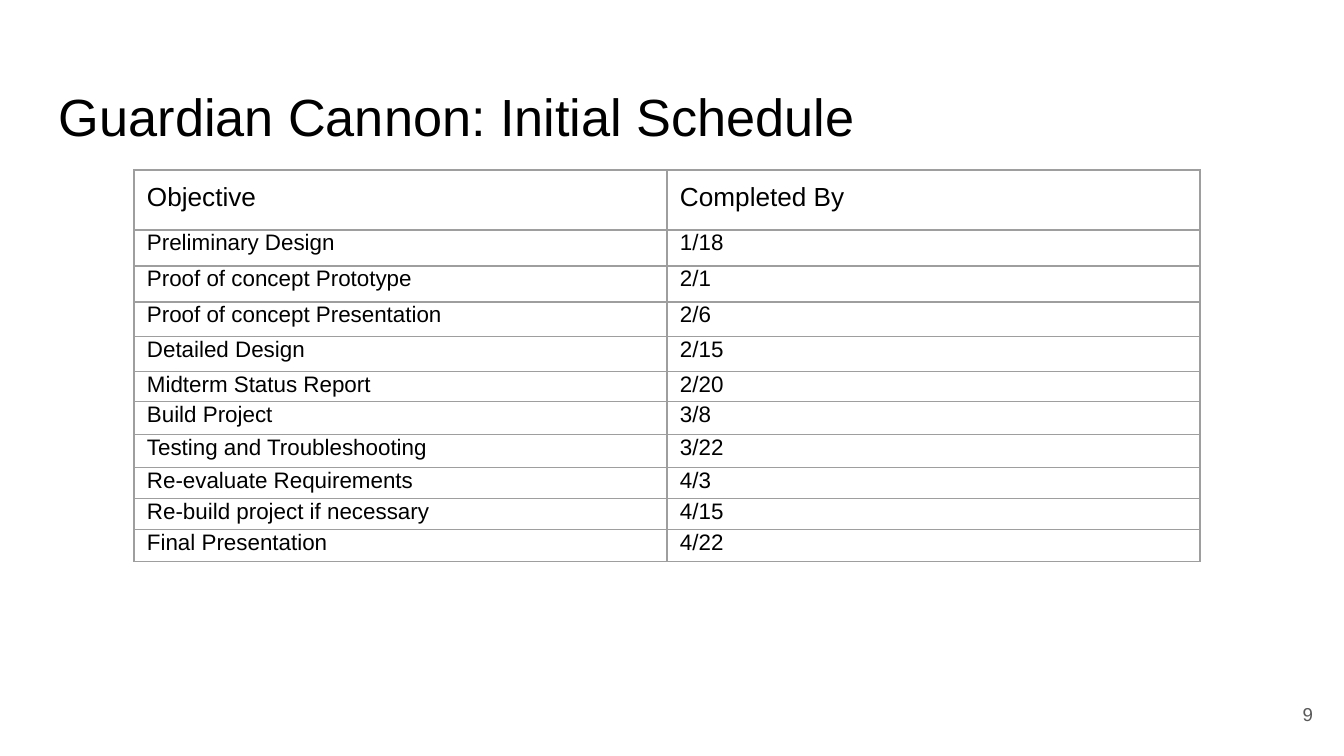
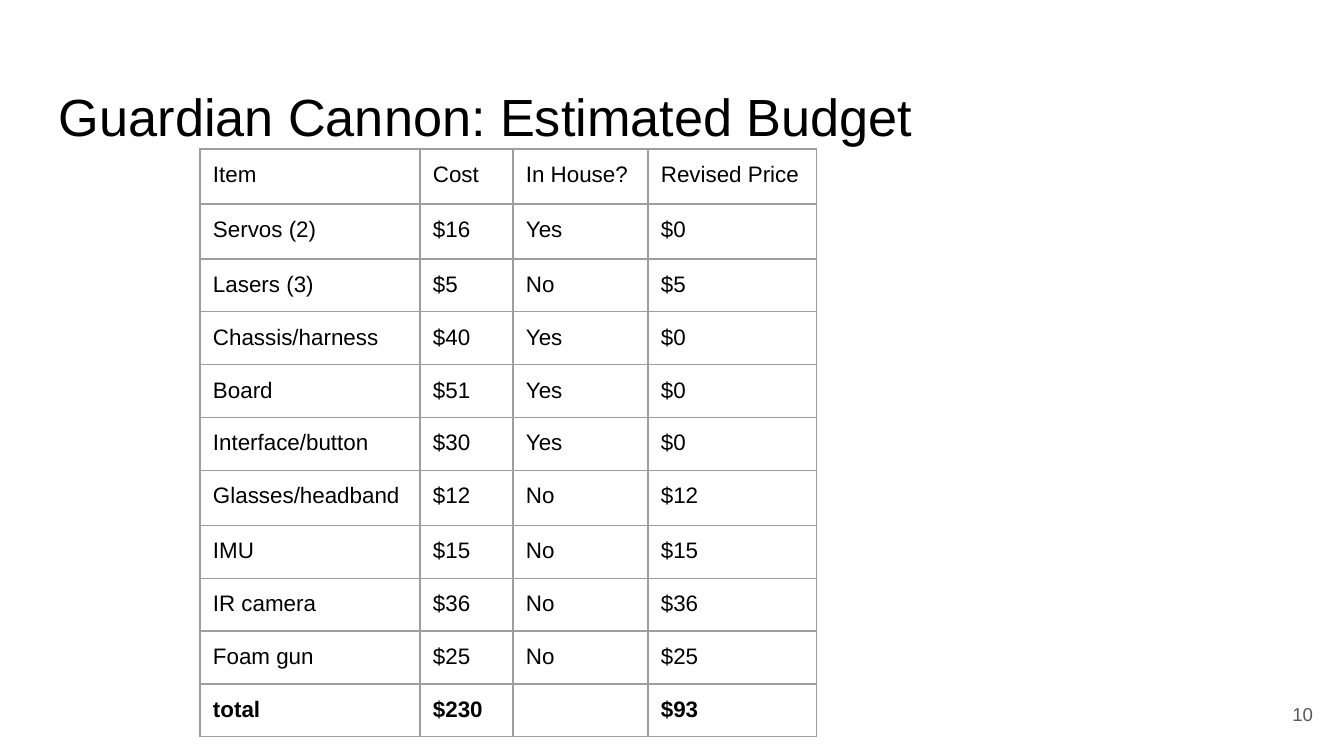
from dataclasses import dataclass

from lxml.etree import SubElement
from pptx import Presentation
from pptx.dml.color import RGBColor
from pptx.enum.text import MSO_ANCHOR, PP_ALIGN
from pptx.oxml.ns import qn
from pptx.util import Emu, Pt


@dataclass(frozen=True)
class Theme:
    font: str = "Arial"
    background: str = "FFFFFF"
    ink: str = "000000"
    muted: str = "595959"
    rule: str = "9E9E9E"
    rule_width: float = 0.75
    title_size: int = 28
    heading_size: int = 14
    body_size: int = 12
    number_size: int = 10


THEME = Theme()
PAGE_SIZE = (1344, 756)
TITLE_BOX = (46, 66, 1252, 84)
NUMBER_BOX = (1246, 685, 80, 58)
INSET = 13

SCHEDULE = [
    ("Objective", "Completed By"),
    ("Preliminary Design", "1/18"),
    ("Proof of concept Prototype", "2/1"),
    ("Proof of concept Presentation", "2/6"),
    ("Detailed Design", "2/15"),
    ("Midterm Status Report", "2/20"),
    ("Build Project", "3/8"),
    ("Testing and Troubleshooting", "3/22"),
    ("Re-evaluate Requirements", "4/3"),
    ("Re-build project if necessary", "4/15"),
    ("Final Presentation", "4/22"),
]
BUDGET = [
    ("Item", "Cost", "In House?", "Revised Price"),
    ("Servos (2)", "$16", "Yes", "$0"),
    ("Lasers (3)", "$5", "No", "$5"),
    ("Chassis/harness", "$40", "Yes", "$0"),
    ("Board", "$51", "Yes", "$0"),
    ("Interface/button", "$30", "Yes", "$0"),
    ("Glasses/headband", "$12", "No", "$12"),
    ("IMU", "$15", "No", "$15"),
    ("IR camera", "$36", "No", "$36"),
    ("Foam gun", "$25", "No", "$25"),
    ("total", "$230", "", "$93"),
]


def px(length):
    return Emu(round(length * 914400 / 134.4))


def style_text(para, size, color=THEME.ink, bold=False):
    for span in para.runs:
        span.font.name = THEME.font
        span.font.size = Pt(size)
        span.font.bold = bold
        span.font.color.rgb = RGBColor.from_string(color)
    if not para.runs:
        # An empty paragraph keeps the row height of its neighbours
        SubElement(para._p, qn("a:endParaRPr"), sz=str(size * 100))


def set_margins(target, side, top, bottom):
    target.margin_left = target.margin_right = px(side)
    target.margin_top, target.margin_bottom = px(top), px(bottom)


def add_text(page, bounds, text, size, color, top=INSET):
    box = page.shapes.add_textbox(*map(px, bounds))
    frame = box.text_frame
    frame.word_wrap = True
    set_margins(frame, INSET, top, INSET)
    frame.text = text
    style_text(frame.paragraphs[0], size, color)
    return frame


def add_borders(cell):
    properties = cell._tc.get_or_add_tcPr()
    for side in ("lnL", "lnR", "lnT", "lnB"):
        line = SubElement(properties, qn(f"a:{side}"), w=str(Pt(THEME.rule_width)))
        fill = SubElement(line, qn("a:solidFill"))
        SubElement(fill, qn("a:srgbClr"), val=THEME.rule)


def add_grid(page, origin, columns, heights, rows, heading_size, body_inset,
             bold_last=False):
    left, top = origin
    frame = page.shapes.add_table(
        len(rows), len(columns), px(left), px(top), px(sum(columns)), px(sum(heights)))
    table = frame.table
    table.first_row = table.horz_banding = False
    for column, width in zip(table.columns, columns):
        column.width = px(width)
    for index, (row, height, texts) in enumerate(zip(table.rows, heights, rows)):
        row.height = px(height)
        inset = body_inset if index else INSET
        size = THEME.body_size if index else heading_size
        bold = bold_last and index == len(rows) - 1
        for cell, text in zip(row.cells, texts):
            cell.text = text
            set_margins(cell, INSET, inset, inset)
            add_borders(cell)
            cell.fill.background()
            style_text(cell.text_frame.paragraphs[0], size, bold=bold)


def add_page(deck, title, number):
    page = deck.slides.add_slide(deck.slide_layouts[6])
    page.background.fill.solid()
    page.background.fill.fore_color.rgb = RGBColor.from_string(THEME.background)
    # Title
    add_text(page, TITLE_BOX, title, THEME.title_size, THEME.ink, top=INSET + 5)
    # Page number
    frame = add_text(page, NUMBER_BOX, str(number), THEME.number_size, THEME.muted)
    frame.vertical_anchor = MSO_ANCHOR.MIDDLE
    frame.paragraphs[0].alignment = PP_ALIGN.RIGHT
    return page


def add_schedule_page(deck):
    page = add_page(deck, "Guardian Cannon: Initial Schedule", 9)
    heights = [60, 36, 36, 35, 35, 30, 33, 33, 31, 31, 32]
    add_grid(page, (134, 170), [533] * 2, heights, SCHEDULE,
             THEME.heading_size, body_inset=0)


def add_budget_page(deck):
    page = add_page(deck, "Guardian Cannon: Estimated Budget", 10)
    tall_rows = (0, 1, 6)
    heights = [55 if index in tall_rows else 52 for index in range(len(BUDGET))]
    add_grid(page, (200, 149), [220, 93, 135, 169], heights, BUDGET,
             THEME.body_size, body_inset=INSET, bold_last=True)


def main():
    deck = Presentation()
    deck.slide_width, deck.slide_height = map(px, PAGE_SIZE)
    add_schedule_page(deck)
    add_budget_page(deck)
    deck.save("out.pptx")


if __name__ == "__main__":
    main()
